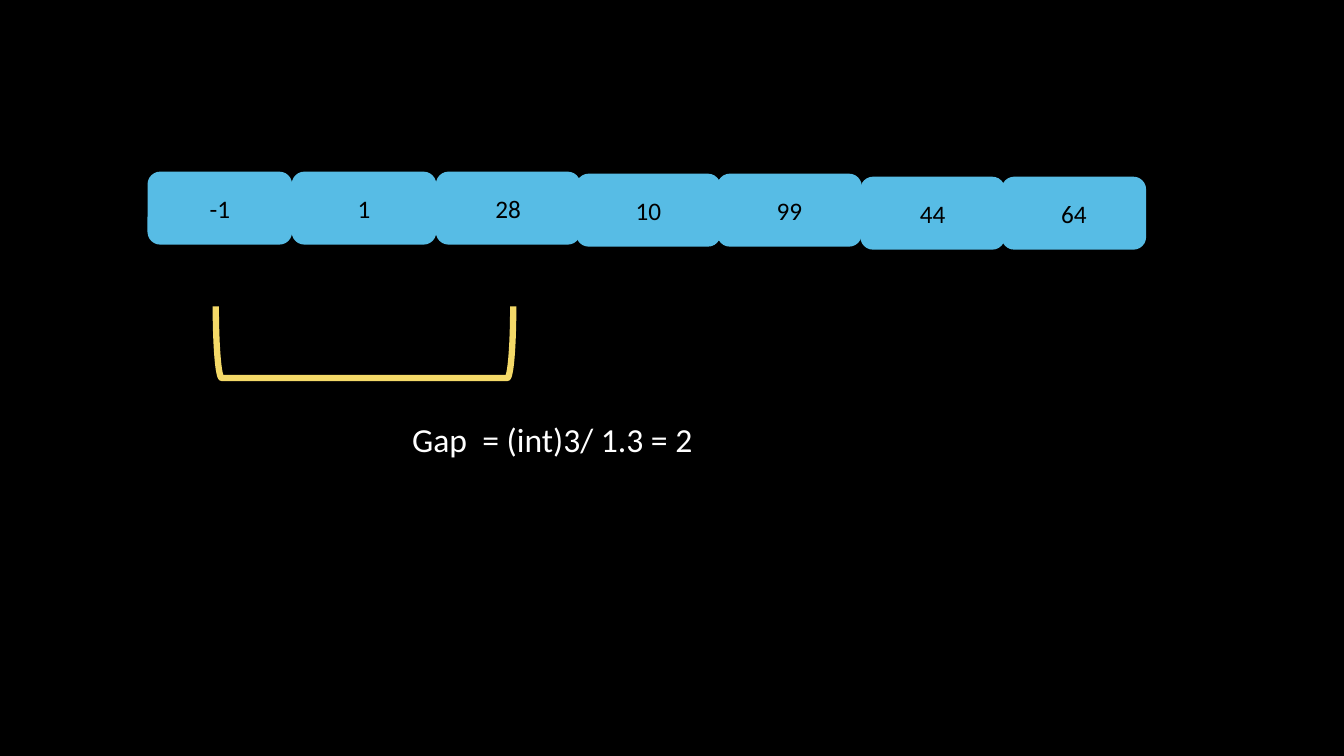
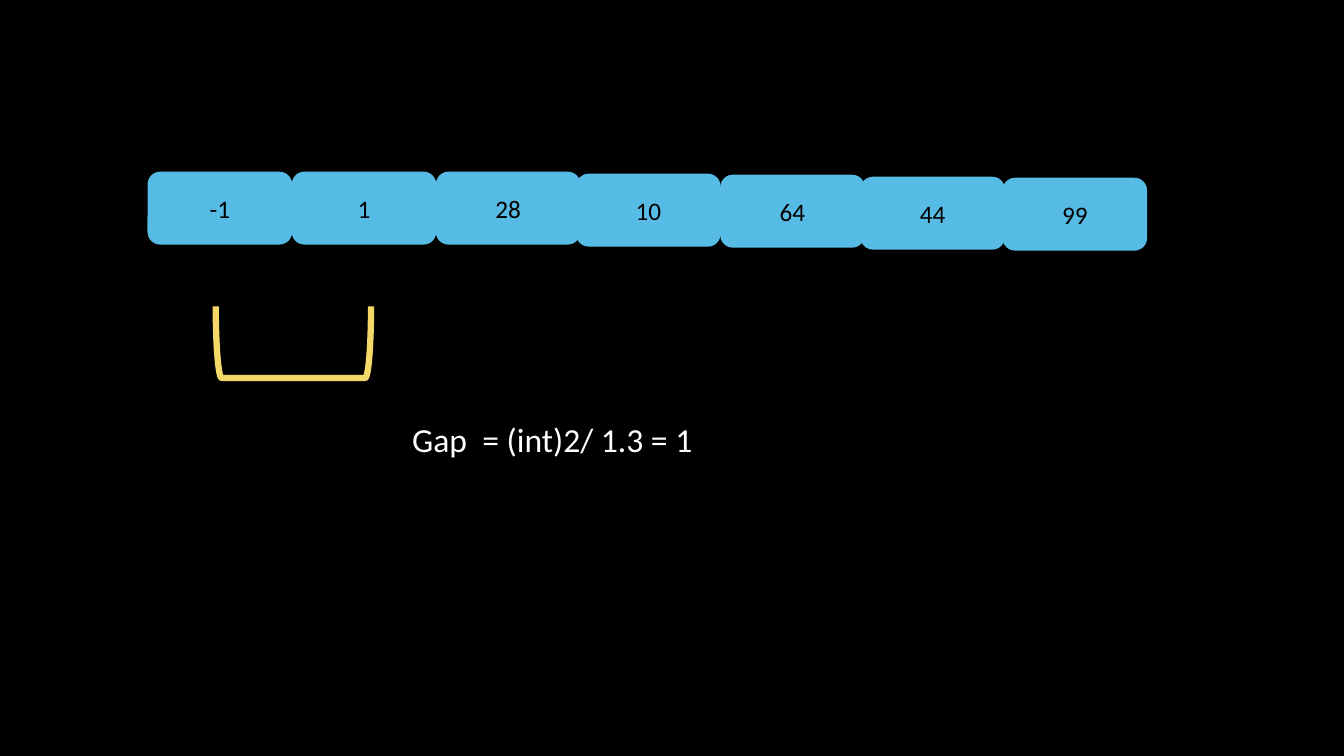
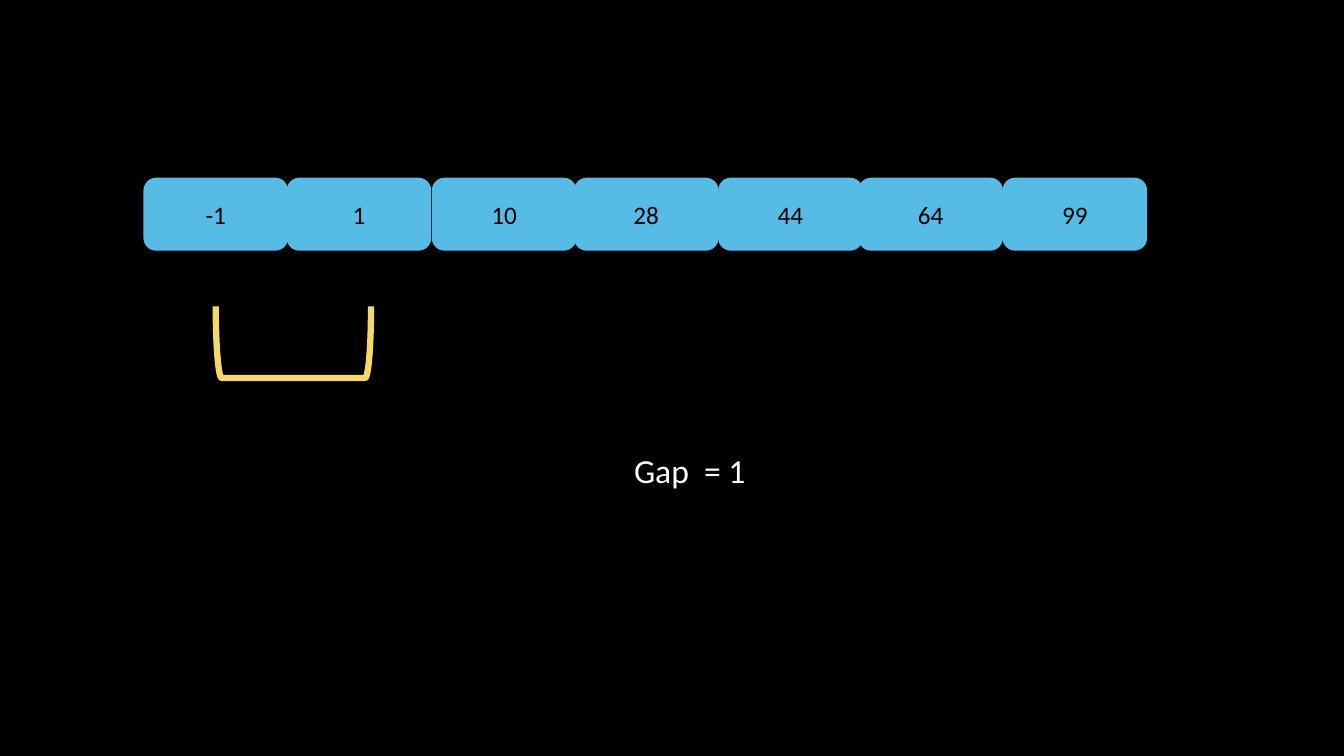
from dataclasses import dataclass

from pptx import Presentation
from pptx.dml.color import RGBColor
from pptx.enum.shapes import MSO_SHAPE
from pptx.enum.text import MSO_ANCHOR, MSO_AUTO_SIZE, PP_ALIGN
from pptx.util import Inches, Pt


# Colours, type and line sizes
@dataclass(frozen=True)
class Theme:
    back: RGBColor = RGBColor.from_string("000000")
    cell: RGBColor = RGBColor.from_string("57BCE5")
    ink: RGBColor = RGBColor.from_string("000000")
    mark: RGBColor = RGBColor.from_string("F4D968")
    note: RGBColor = RGBColor.from_string("FFFFFF")
    face: str = "Calibri"
    small: int = 18
    large: int = 24
    thin: float = 1
    thick: float = 4.5


class Deck:
    CELL_W, CELL_H = 1.42, 0.71
    MARK_X, MARK_Y, MARK_H = 2.14, 3.04, 0.71

    def __init__(self, theme):
        self.theme = theme
        self.show = Presentation()
        self.show.slide_width = Inches(13.33)
        self.show.slide_height = Inches(7.5)
        fill = self.show.slide_master.background.fill
        fill.solid()
        fill.fore_color.rgb = theme.back
        self.slide = None

    def start(self):
        self.slide = self.show.slides.add_slide(self.show.slide_layouts[6])

    def shape(self, kind, left, top, wide, high, line, width):
        item = self.slide.shapes.add_shape(
            kind, Inches(left), Inches(top), Inches(wide), Inches(high))
        item.shadow.inherit = False
        item.line.color.rgb = line
        item.line.width = Pt(width)
        return item

    def words(self, para, text, size, color):
        para.text = text
        para.font.name = self.theme.face
        para.font.size = Pt(size)
        para.font.color.rgb = color

    def cell(self, text, left, top):
        look = self.theme
        item = self.shape(MSO_SHAPE.ROUNDED_RECTANGLE, left, top,
                          self.CELL_W, self.CELL_H, look.cell, look.thin)
        item.fill.solid()
        item.fill.fore_color.rgb = look.cell
        frame = item.text_frame
        frame.vertical_anchor = MSO_ANCHOR.MIDDLE
        para = frame.paragraphs[0]
        para.alignment = PP_ALIGN.CENTER
        self.words(para, text, look.small, look.ink)

    def row(self, values, lefts, tops):
        for value, left, top in zip(values, lefts, tops):
            self.cell(str(value), left, top)

    def bracket(self, span):
        # A left bracket turned to open upwards, about its own centre
        shift = (span - self.MARK_H) / 2
        item = self.shape(MSO_SHAPE.LEFT_BRACKET, self.MARK_X + shift,
                          self.MARK_Y - shift, self.MARK_H, span,
                          self.theme.mark, self.theme.thick)
        item.rotation = 270
        item.fill.background()

    def label(self, text, left, top):
        box = self.slide.shapes.add_textbox(
            Inches(left), Inches(top), Inches(3.62), Inches(0.46))
        frame = box.text_frame
        frame.word_wrap = True
        frame.auto_size = MSO_AUTO_SIZE.SHAPE_TO_FIT_TEXT
        para = frame.paragraphs[0]
        para.line_spacing = 0.9
        self.words(para, text, self.theme.large, self.theme.note)


# Each step: values, cell lefts, cell tops, bracket span, label and its place
STEPS = [
    ([-1, 1, 28, 10, 99, 44, 64],
     [1.47, 2.9, 4.33, 5.72, 7.12, 8.54, 9.94],
     [1.71, 1.71, 1.71, 1.73, 1.73, 1.76, 1.76],
     2.95, "Gap  = (int)3/ 1.3 = 2", (3.99, 4.15)),
    ([-1, 1, 28, 10, 64, 44, 99],
     [1.47, 2.9, 4.33, 5.72, 7.15, 8.54, 9.95],
     [1.71, 1.71, 1.71, 1.73, 1.74, 1.76, 1.77],
     1.54, "Gap  = (int)2/ 1.3 = 1", (3.99, 4.15)),
    ([-1, 1, 10, 28, 44, 64, 99],
     [1.43, 2.85, 4.29, 5.7, 7.13, 8.52, 9.95],
     [1.77] * 7,
     1.54, "Gap  = 1", (6.19, 4.46)),
]


def main():
    deck = Deck(Theme())
    for values, lefts, tops, span, text, place in STEPS:
        deck.start()
        deck.row(values, lefts, tops)
        deck.bracket(span)
        deck.label(text, *place)
    deck.show.save("out.pptx")


if __name__ == "__main__":
    main()
